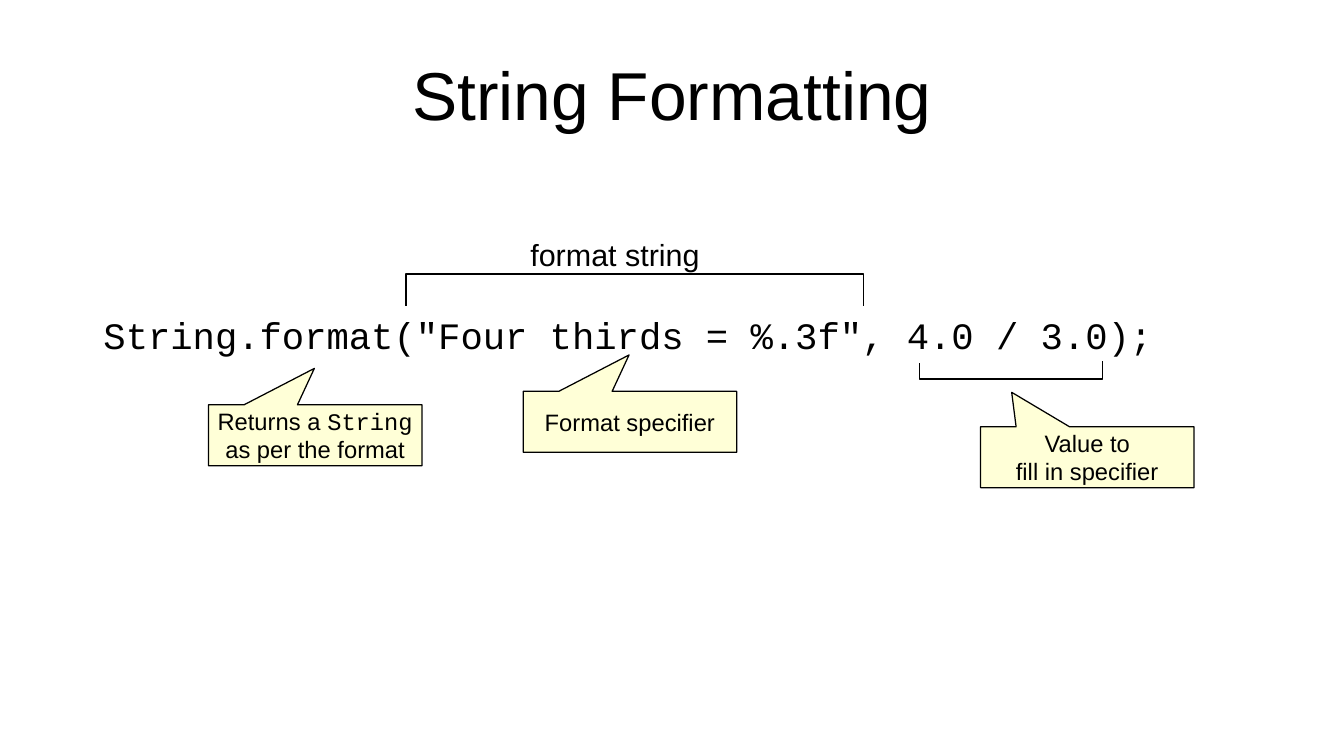
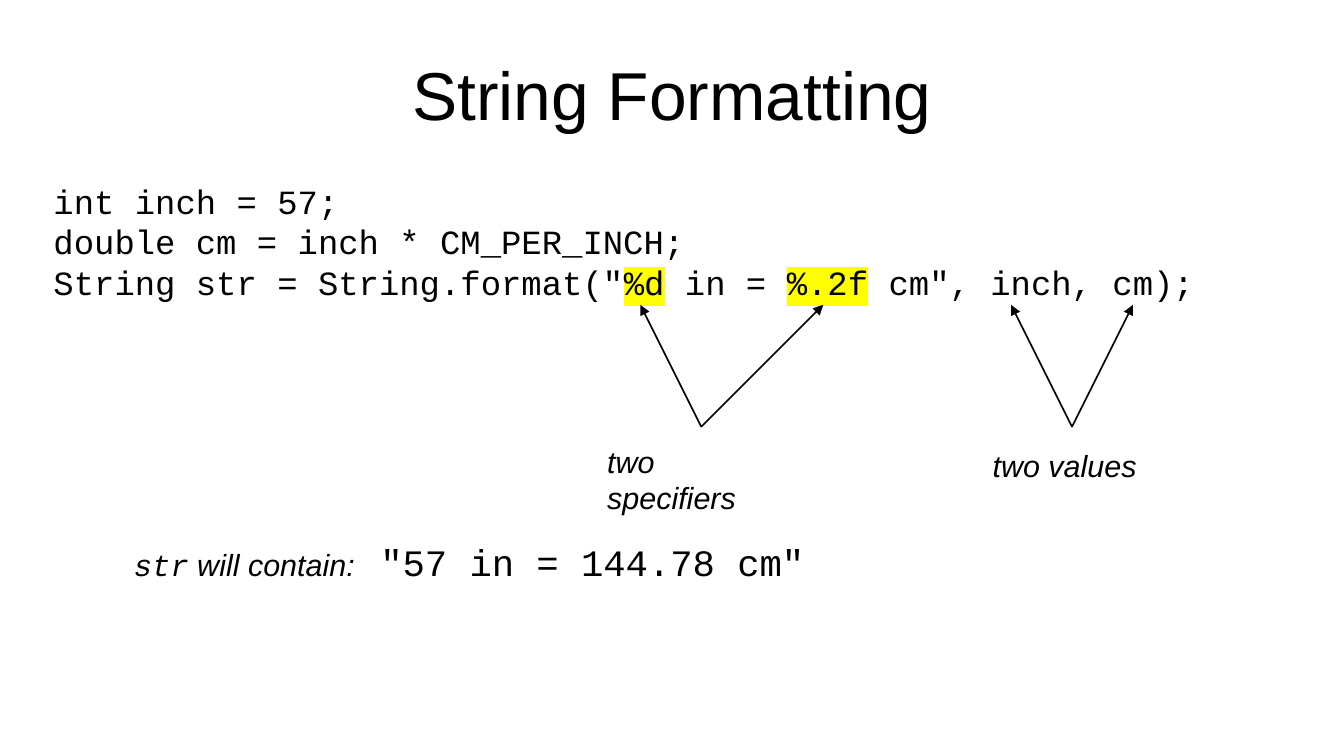
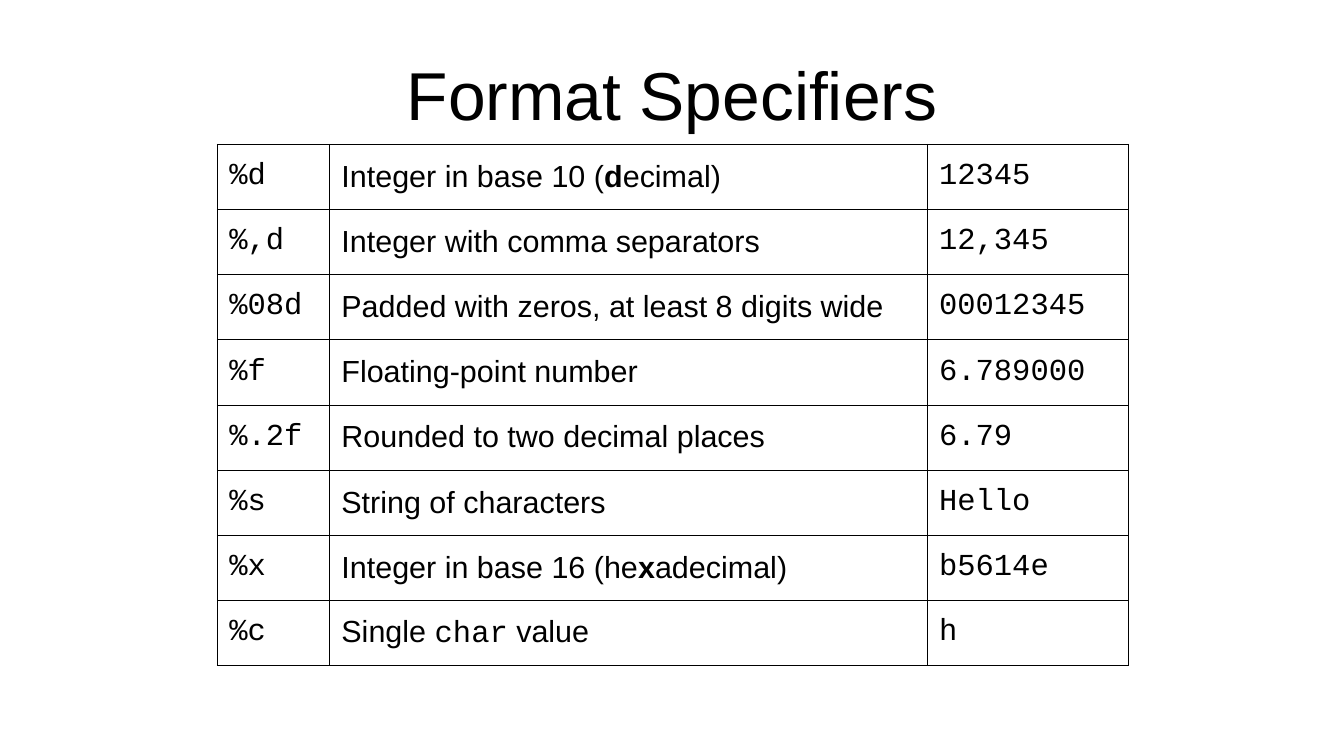
from lxml.etree import SubElement
from pptx import Presentation
from pptx.dml.color import RGBColor
from pptx.enum.shapes import MSO_CONNECTOR, MSO_SHAPE
from pptx.enum.text import MSO_ANCHOR, MSO_AUTO_SIZE, PP_ALIGN
from pptx.oxml import parse_xml
from pptx.oxml.ns import nsdecls, qn
from pptx.util import Inches, Pt

# Shared look
WIDTH, HEIGHT = 11.02, 6.2
COLORS = {"ink": "000000", "paper": "FFFFFF", "note": "FFFFD7", "mark": "FFFF00"}
STYLES = {
    "plain": {"name": "Arial"},
    "bold": {"name": "Arial", "bold": True},
    "italic": {"name": "Arial", "italic": True},
    "code": {"name": "Courier New"},
    "marked": {"name": "Courier New"},
    "code italic": {"name": "Courier New", "italic": True},
}
TITLE_SIZE, CODE_SIZE, LISTING_SIZE, LABEL_SIZE, NOTE_SIZE = 40, 22, 20, 18, 14
TITLE_BOX = (0.55, 0.25, 9.92, 1.04)

# Content: a paragraph is a list of (text, style[, size]) runs
CALL = {
    "title": "String Formatting",
    "texts": [
        ((0.75, 2.51, 9.55, 0.44), CODE_SIZE,
         [[('String.format("Four thirds = %.3f", 4.0 / 3.0);', "code")]]),
        ((4.25, 1.89, 1.59, 0.38), LABEL_SIZE, [[("format string", "plain")]]),
    ],
    # left, right, then heights of left end, bar and right end
    "brackets": [(3.33, 7.08, 2.51, 2.25, 2.51), (7.54, 9.04, 2.98, 3.11, 2.96)],
    # left, top, pointer offsets, text
    "callouts": [
        (1.71, 3.32, (-0.004, -1.097),
         [[("Returns a ", "plain"), ("String", "code")], [("as per the format", "plain")]]),
        (4.29, 3.21, (-0.004, -1.097), [[("Format specifier", "plain")]]),
        (8.04, 3.5, (-0.354, -1.065),
         [[("Value to", "plain")], [("fill in specifier", "plain")]]),
    ],
}
CALLOUT_SIZE = (1.75, 0.5)

EXAMPLE = {
    "title": "String Formatting",
    "texts": [
        ((0.34, 1.43, 10.55, 1.48), LISTING_SIZE, [
            [("int inch = 57;", "code")],
            [("double cm = inch * CM_PER_INCH;", "code")],
            [('String str = String.format("', "code"), ("%d", "marked"), (" in = ", "code"),
             ("%.2f", "marked"), (' cm", inch, cm);', "code")],
        ]),
        ((4.88, 3.58, 1.71, 0.38), LABEL_SIZE, [[("two specifiers", "italic")]]),
        ((8.04, 3.62, 1.38, 0.38), LABEL_SIZE, [[("two values", "italic")]]),
        ((1, 4.37, 5.7, 0.44), LABEL_SIZE, [
            [("str", "code italic"), (" will contain:\t", "italic"),
             ('"57 in = 144.78 cm"', "code", CODE_SIZE)],
        ]),
    ],
    # shared start of a pair of arrows, and where each one points
    "arrows": [(5.75, (5.25, 6.75)), (8.79, (8.29, 9.29))],
}
ARROW_START, ARROW_END = 3.5, 2.5
RESULT_TAB = 2.02

SPECIFIERS = {
    "title": "Format Specifiers",
    "rows": [
        ("%d", [("Integer in base 10 (", "plain"), ("d", "bold"), ("ecimal)", "plain")], "12345"),
        ("%,d", [("Integer with comma separators", "plain")], "12,345"),
        ("%08d", [("Padded with zeros, at least 8 digits wide", "plain")], "00012345"),
        ("%f", [("Floating-point number", "plain")], "6.789000"),
        ("%.2f", [("Rounded to two decimal places", "plain")], "6.79"),
        ("%s", [("String of characters", "plain")], "Hello"),
        ("%x", [("Integer in base 16 (he", "plain"), ("x", "bold"), ("adecimal)", "plain")],
         "b5614e"),
        ("%c", [("Single ", "plain"), ("char", "code"), (" value", "plain")], "h"),
    ],
}
TABLE_AT, TABLE_HEIGHT, COLUMNS = (1.78, 1.18), 4.28, (0.92, 4.9, 1.65)
BORDER = 0.06


def inches(values):
    return [Inches(value) for value in values]


def rgb(name):
    return RGBColor.from_string(COLORS[name])


def write(frame, paragraphs, size, align=PP_ALIGN.LEFT):
    """Fill a text frame with styled runs."""
    for index, runs in enumerate(paragraphs):
        paragraph = frame.add_paragraph() if index else frame.paragraphs[0]
        paragraph.alignment = align
        for text, style, *own_size in runs:
            run = paragraph.add_run()
            run.text = text
            format_values = {"size": Pt(own_size[0] if own_size else size), **STYLES[style]}
            for key, value in format_values.items():
                setattr(run.font, key, value)
            run.font.color.rgb = rgb("ink")
            if style == "marked":
                run.font.fill._xPr.find(qn("a:solidFill")).addnext(parse_xml(
                    f'<a:highlight {nsdecls("a")}><a:srgbClr val="{COLORS["mark"]}"/></a:highlight>'))
            if "\t" in text:
                stops = SubElement(paragraph._p.get_or_add_pPr(), qn("a:tabLst"))
                SubElement(stops, qn("a:tab"), pos=str(Inches(RESULT_TAB)), algn="l")


def outline(shape, width):
    shape.line.color.rgb = rgb("ink")
    shape.line.width = Pt(width)


def add_slide(deck, layout, content):
    slide = deck.slides.add_slide(layout)
    write(slide.shapes.title.text_frame, [[(content["title"], "plain")]],
          TITLE_SIZE, PP_ALIGN.CENTER)
    for box, size, paragraphs in content.get("texts", []):
        frame = slide.shapes.add_textbox(*inches(box)).text_frame
        frame.word_wrap = len(paragraphs) > 1
        frame.auto_size = MSO_AUTO_SIZE.SHAPE_TO_FIT_TEXT
        write(frame, paragraphs, size)
    return slide


def add_bracket(slide, left, right, left_end, bar, right_end):
    builder = slide.shapes.build_freeform(Inches(left), Inches(left_end))
    corners = [(left, bar), (right, bar), (right, right_end)]
    builder.add_line_segments([inches(corner) for corner in corners], close=False)
    bracket = builder.convert_to_shape()
    bracket.shadow.inherit = False
    bracket.fill.background()
    outline(bracket, 1)


def add_callout(slide, left, top, pointer, paragraphs):
    callout = slide.shapes.add_shape(MSO_SHAPE.RECTANGULAR_CALLOUT,
                                     *inches((left, top, *CALLOUT_SIZE)))
    callout.shadow.inherit = False
    for index, offset in enumerate(pointer):
        callout.adjustments[index] = offset
    callout.fill.solid()
    callout.fill.fore_color.rgb = rgb("note")
    outline(callout, 0)
    callout.text_frame.word_wrap = False
    callout.text_frame.vertical_anchor = MSO_ANCHOR.MIDDLE
    write(callout.text_frame, paragraphs, NOTE_SIZE, PP_ALIGN.CENTER)


def add_arrow(slide, start, end):
    arrow = slide.shapes.add_connector(
        MSO_CONNECTOR.STRAIGHT, *inches((start, ARROW_START, end, ARROW_END)))
    outline(arrow, 1)
    SubElement(arrow.line._get_or_add_ln(), qn("a:tailEnd"), type="triangle")
    SubElement(arrow._element.spPr, qn("a:effectLst"))


def add_specifier_table(slide, rows):
    table = slide.shapes.add_table(
        len(rows), len(COLUMNS), *inches((*TABLE_AT, sum(COLUMNS), TABLE_HEIGHT))).table
    table.first_row = table.horz_banding = False
    for column, width in zip(table.columns, COLUMNS):
        column.width = Inches(width)
    for r, (specifier, meaning, example) in enumerate(rows):
        table.rows[r].height = Inches(TABLE_HEIGHT / len(rows))
        for c, runs in enumerate(([(specifier, "code")], meaning, [(example, "code")])):
            cell = table.cell(r, c)
            cell.vertical_anchor = MSO_ANCHOR.MIDDLE
            cell.fill.solid()
            cell.fill.fore_color.rgb = rgb("paper")
            write(cell.text_frame, [runs], LABEL_SIZE)
            for index, side in enumerate("LRTB"):
                cell._tc.get_or_add_tcPr().insert(index, parse_xml(
                    f'<a:ln{side} {nsdecls("a")} w="{Pt(BORDER)}"><a:solidFill>'
                    f'<a:srgbClr val="{COLORS["ink"]}"/></a:solidFill></a:ln{side}>'))


def main():
    deck = Presentation()
    deck.slide_width, deck.slide_height = Inches(WIDTH), Inches(HEIGHT)

    # Title position, set once on the layout
    layout = deck.slide_layouts[5]
    title = layout.placeholders[0]
    for key, value in zip(("left", "top", "width", "height"), inches(TITLE_BOX)):
        setattr(title, key, value)
    for side in ("left", "top", "right", "bottom"):
        setattr(title.text_frame, f"margin_{side}", 0)
    title.text_frame.vertical_anchor = MSO_ANCHOR.MIDDLE

    # Anatomy of a format call
    slide = add_slide(deck, layout, CALL)
    for bracket in CALL["brackets"]:
        add_bracket(slide, *bracket)
    for callout in CALL["callouts"]:
        add_callout(slide, *callout)

    # Worked example
    slide = add_slide(deck, layout, EXAMPLE)
    for start, ends in EXAMPLE["arrows"]:
        for end in ends:
            add_arrow(slide, start, end)

    # Table of specifiers
    slide = add_slide(deck, layout, SPECIFIERS)
    add_specifier_table(slide, SPECIFIERS["rows"])

    deck.save("out.pptx")


if __name__ == "__main__":
    main()
